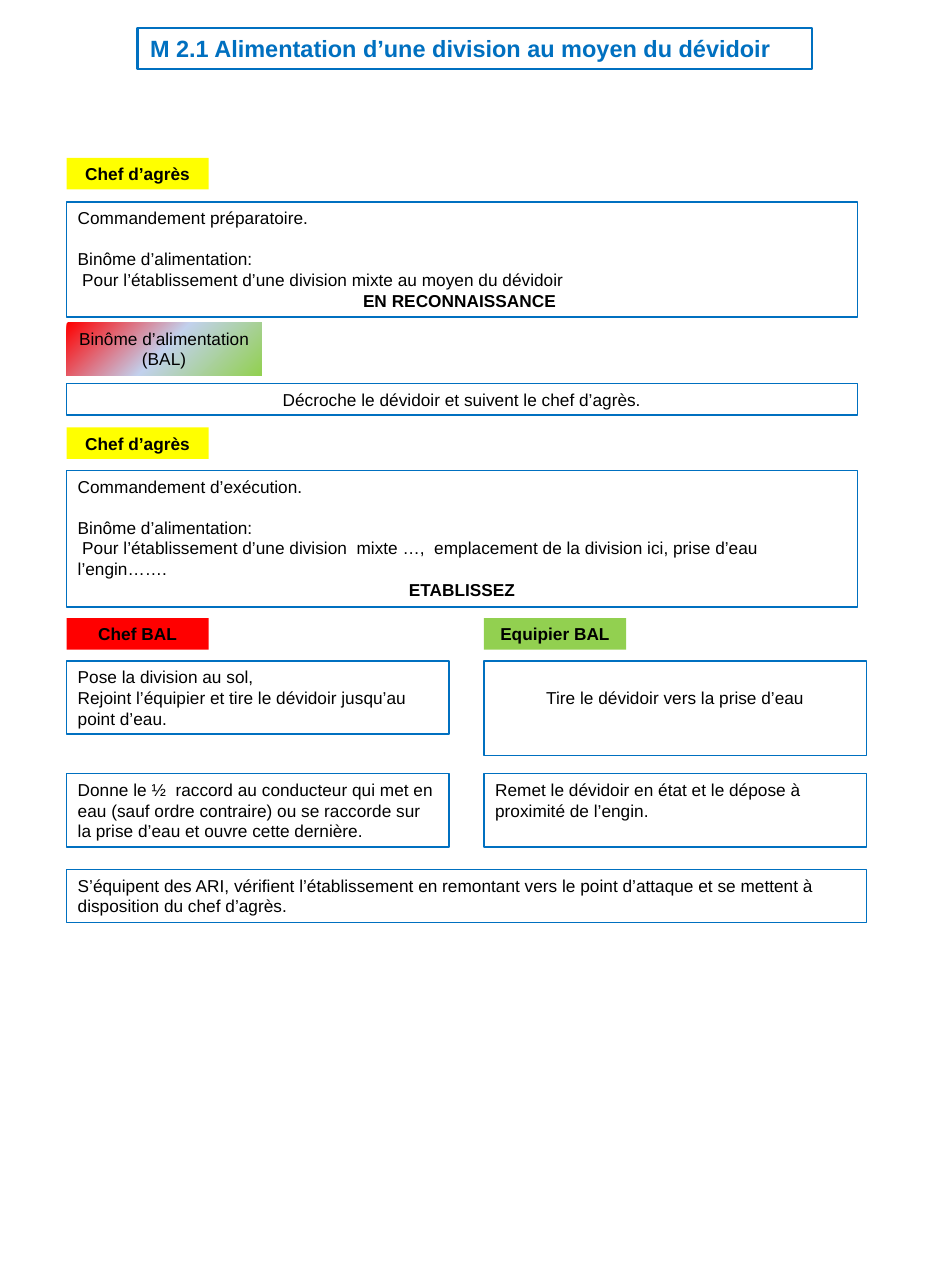
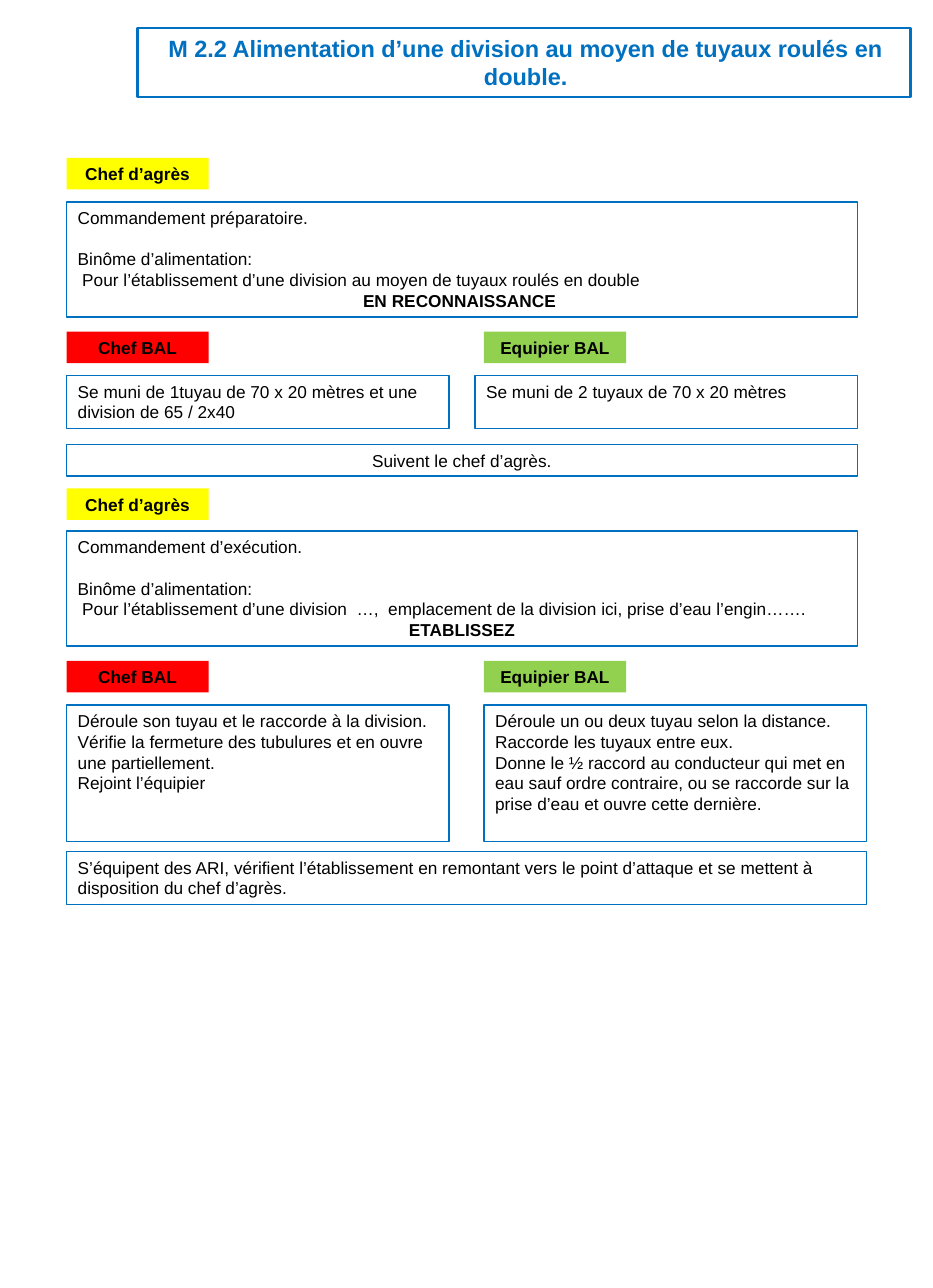
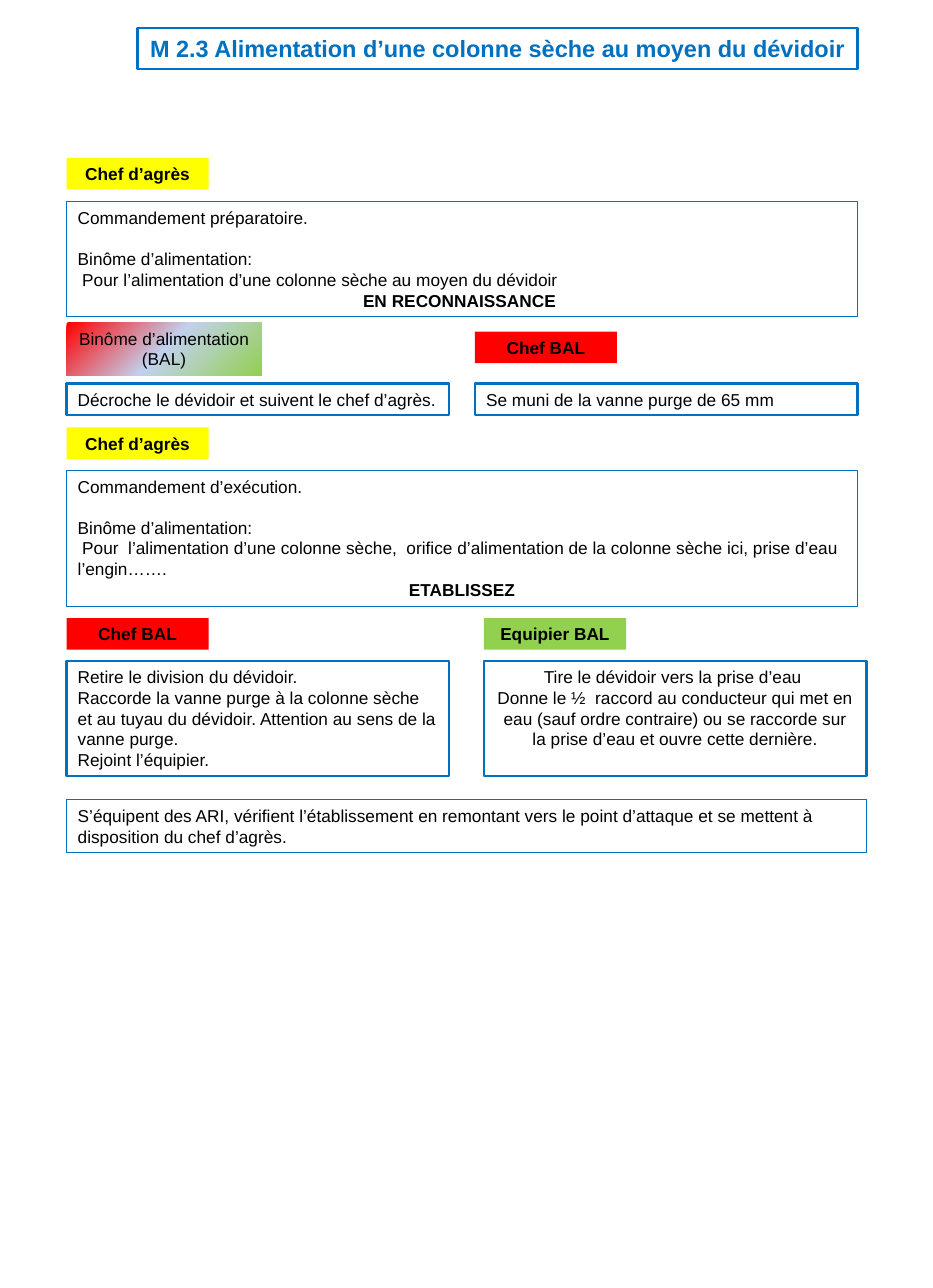
from dataclasses import dataclass, field
from typing import Union

import pptx
import pptx.dml.color
import pptx.enum.text
import pptx.oxml
import pptx.oxml.ns
import pptx.util

Inches = pptx.util.Inches
ALIGN = pptx.enum.text.PP_ALIGN

# Shared style
FONT = "Arial"
BLUE, BLACK = "0070C0", "000000"
YELLOW, RED, GREEN, PALE_BLUE = "FFFF00", "FF0000", "92D050", "C2D1ED"
TITLE_SIZE, BODY_SIZE = 15, 11
LINE_GAP = 13  # points left free above the "Binôme" line

# Shared grid, in inches
LEFT = 0.59
RIGHT = 4.29
RIGHT_INNER = 4.21
HALF_WIDTH = 3.39
COMMAND_WIDTH = 7.01
FULL_WIDTH = RIGHT + HALF_WIDTH - LEFT
ONE_LINE, TWO_LINES = 0.28, 0.47
INSET_X, INSET_Y = 0.1, 0.05
TITLE_INSET_LEFT, TITLE_INSET_RIGHT = 0.11, 0.08


@dataclass(frozen=True)
class Line:
    text: str
    bold: bool = False
    centred: bool = False
    space_before: float = 0
    indent: float = 0


@dataclass(frozen=True)
class Role:
    text: str
    fills: tuple[str, ...]
    width: float = 1.26
    height: float = ONE_LINE
    bold: bool = True


@dataclass(frozen=True)
class Label:
    role: Role
    left: float
    top: float


@dataclass(frozen=True)
class Box:
    left: float
    top: float
    width: float
    height: float
    lines: tuple[Line, ...]
    border: float = 1
    inset_top: float = INSET_Y


@dataclass(frozen=True)
class Sheet:
    title: str
    title_width: float
    items: list[Union[Label, Box]] = field(default_factory=list)
    title_height: float = 0.36
    title_centred: bool = False


OFFICER = Role("Chef d’agrès", (YELLOW,))
LEADER = Role("Chef BAL", (RED,))
MEMBER = Role("Equipier BAL", (GREEN,))
PAIR = Role("Binôme d’alimentation (BAL)", (RED, PALE_BLUE, GREEN), 1.73, TWO_LINES, False)


def colour(value: str) -> pptx.dml.color.RGBColor:
    return pptx.dml.color.RGBColor.from_string(value)


def text_lines(*texts: str, centred: bool = False) -> tuple[Line, ...]:
    return tuple(Line(text, centred=centred) for text in texts)


def command(top: float, height: float, kind: str, order: str, cue: str, border: float = 1) -> Box:
    """A spoken command: its kind, who is called, the order and the closing cue."""
    return Box(LEFT, top, COMMAND_WIDTH, height, (
        Line(f"Commandement {kind}."),
        Line("Binôme d’alimentation:", space_before=LINE_GAP),
        Line(order, indent=0.04),
        Line(cue, bold=True, centred=True),
    ), border)


def preparation(order: str, border: float = 1) -> Box:
    return command(1.79, 1.02, "préparatoire", order, "EN RECONNAISSANCE ", border)


def execution(top: float, height: float, order: str, border: float = 1) -> Box:
    return command(top, height, "d’exécution", order, "ETABLISSEZ", border)


def closing(top: float, border: float = 1) -> Box:
    return Box(LEFT, top, FULL_WIDTH, TWO_LINES, text_lines(
        "S’équipent des ARI, vérifient l’établissement en remontant vers le point d’attaque "
        "et se mettent à disposition du chef d’agrès."), border)


def both_labels(top: float) -> list[Label]:
    return [Label(LEADER, LEFT, top), Label(MEMBER, RIGHT, top)]


def place(shape, left: float, top: float, width: float, height: float) -> None:
    shape.left, shape.top = Inches(left), Inches(top)
    shape.width, shape.height = Inches(width), Inches(height)


def set_border(shape, points: float) -> None:
    shape.line.color.rgb = colour(BLUE)
    shape.line.width = pptx.util.Pt(points)


def set_gradient(shape, colours: tuple[str, ...]) -> None:
    """Evenly spaced stops running from the top left to the bottom right."""
    step = 100000 // (len(colours) - 1)
    stops = "".join(
        f'<a:gs pos="{index * step}"><a:srgbClr val="{value}"/></a:gs>'
        for index, value in enumerate(colours))
    gradient = pptx.oxml.parse_xml(
        f'<a:gradFill {pptx.oxml.ns.nsdecls("a")} rotWithShape="1"><a:gsLst>{stops}</a:gsLst>'
        '<a:lin ang="2700000" scaled="0"/></a:gradFill>')
    shape.fill.background()
    no_fill = shape.fill._xPr.find(pptx.oxml.ns.qn("a:noFill"))
    no_fill.getparent().replace(no_fill, gradient)


def write_lines(shape, lines: tuple[Line, ...], size: float, text_colour: str,
                inset_left: float = INSET_X, inset_right: float = INSET_X,
                inset_top: float = INSET_Y) -> None:
    frame = shape.text_frame
    frame.word_wrap = True
    frame.auto_size = pptx.enum.text.MSO_AUTO_SIZE.NONE
    frame.vertical_anchor = pptx.enum.text.MSO_ANCHOR.TOP
    frame.margin_left, frame.margin_right = Inches(inset_left), Inches(inset_right)
    frame.margin_top, frame.margin_bottom = Inches(inset_top), Inches(INSET_Y)
    for index, line in enumerate(lines):
        paragraph = frame.add_paragraph() if index else frame.paragraphs[0]
        paragraph.alignment = ALIGN.CENTER if line.centred else ALIGN.LEFT
        if line.space_before:
            paragraph.space_before = pptx.util.Pt(line.space_before)
        if line.indent:
            paragraph._p.get_or_add_pPr().set("indent", str(Inches(line.indent)))
        run = paragraph.add_run()
        run.text = line.text
        run.font.name = FONT
        run.font.size = pptx.util.Pt(size)
        run.font.bold = line.bold
        run.font.color.rgb = colour(text_colour)


def add_text_box(slide, left: float, top: float, width: float, height: float):
    return slide.shapes.add_textbox(Inches(left), Inches(top), Inches(width), Inches(height))


def draw_label(slide, label: Label) -> None:
    role = label.role
    shape = add_text_box(slide, label.left, label.top, role.width, role.height)
    if len(role.fills) > 1:
        set_gradient(shape, role.fills)
    else:
        shape.fill.solid()
        shape.fill.fore_color.rgb = colour(role.fills[0])
    write_lines(shape, (Line(role.text, role.bold, True),), BODY_SIZE, BLACK)


def draw_box(slide, box: Box) -> None:
    shape = add_text_box(slide, box.left, box.top, box.width, box.height)
    set_border(shape, box.border)
    write_lines(shape, box.lines, BODY_SIZE, BLACK, inset_top=box.inset_top)


def draw_sheet(presentation, sheet: Sheet) -> None:
    slide = presentation.slides.add_slide(presentation.slide_layouts[5])
    title = slide.shapes.title
    place(title, 1.22, 0.25, sheet.title_width, sheet.title_height)
    set_border(title, 1.5)
    write_lines(title, (Line(sheet.title, True, sheet.title_centred),), TITLE_SIZE, BLUE,
                TITLE_INSET_LEFT, TITLE_INSET_RIGHT)
    for item in sheet.items:
        if isinstance(item, Label):
            draw_label(slide, item)
        else:
            draw_box(slide, item)


HAND_OVER = ("Donne le ½  raccord au conducteur qui met en eau (sauf ordre contraire) "
             "ou se raccorde sur la prise d’eau et ouvre cette dernière.")
UNHOOK = "Décroche le dévidoir et suivent le chef d’agrès."

SHEETS = [
    # Division fed with the hose reel
    Sheet("M 2.1 Alimentation d’une division au moyen du dévidoir", 5.98, [
        Label(OFFICER, LEFT, 1.4),
        preparation("Pour l’établissement d’une division mixte au moyen du dévidoir"),
        Label(PAIR, LEFT, 2.86),
        Box(LEFT, 3.4, COMMAND_WIDTH, ONE_LINE, text_lines(UNHOOK, centred=True)),
        Label(OFFICER, LEFT, 3.79),
        execution(4.17, 1.21, "Pour l’établissement d’une division  mixte …,  emplacement "
                  "de la division ici, prise d’eau l’engin……."),
        *both_labels(5.48),
        Box(LEFT, 5.86, HALF_WIDTH, 0.65, text_lines(
            "Pose la division au sol,",
            "Rejoint l’équipier et tire le dévidoir jusqu’au point d’eau.")),
        Box(RIGHT, 5.86, HALF_WIDTH, 0.84, text_lines(
            "Tire le dévidoir vers la prise d’eau", centred=True), inset_top=0.23),
        Box(LEFT, 6.86, HALF_WIDTH, 0.65, text_lines(HAND_OVER)),
        Box(RIGHT, 6.86, HALF_WIDTH, 0.65, text_lines(
            "Remet le dévidoir en état et le dépose à proximité de l’engin.")),
        closing(7.71),
    ]),
    # Division fed with double-rolled hoses
    Sheet("M 2.2 Alimentation d’une division au moyen de tuyaux roulés en double.", 6.85, [
        Label(OFFICER, LEFT, 1.4),
        preparation("Pour l’établissement d’une division au moyen de tuyaux roulés en double"),
        *both_labels(2.94),
        Box(LEFT, 3.33, HALF_WIDTH, TWO_LINES, text_lines(
            "Se muni de 1tuyau de 70 x 20 mètres et une division de 65 / 2x40")),
        Box(RIGHT_INNER, 3.33, HALF_WIDTH, TWO_LINES, text_lines(
            "Se muni de 2 tuyaux de 70 x 20 mètres")),
        Box(LEFT, 3.94, COMMAND_WIDTH, ONE_LINE, text_lines(
            "Suivent le chef d’agrès.", centred=True)),
        Label(OFFICER, LEFT, 4.33),
        execution(4.71, 1.02, "Pour l’établissement d’une division  …,  emplacement "
                  "de la division ici, prise d’eau l’engin……."),
        *both_labels(5.86),
        Box(LEFT, 6.25, HALF_WIDTH, 1.21, text_lines(
            "Déroule son tuyau et le raccorde à la division.",
            "Vérifie la fermeture des tubulures et en ouvre une partiellement.",
            "Rejoint l’équipier")),
        Box(RIGHT, 6.25, HALF_WIDTH, 1.21, text_lines(
            "Déroule un ou deux tuyau selon la distance.",
            "Raccorde les tuyaux entre eux.",
            "Donne le ½ raccord au conducteur qui met en eau sauf ordre contraire, "
            "ou se raccorde sur la prise d’eau et ouvre cette dernière.")),
        closing(7.55),
    ], 0.61, True),
    # Dry riser fed with the hose reel
    Sheet("M 2.3 Alimentation d’une colonne sèche au moyen du dévidoir", 6.38, [
        Label(OFFICER, LEFT, 1.4),
        preparation("Pour l’alimentation d’une colonne sèche au moyen du dévidoir", 0.75),
        Label(PAIR, LEFT, 2.86),
        Label(LEADER, RIGHT_INNER, 2.94),
        Box(LEFT, 3.4, HALF_WIDTH, ONE_LINE, text_lines(UNHOOK), 1.5),
        Box(RIGHT_INNER, 3.4, HALF_WIDTH, ONE_LINE, text_lines(
            "Se muni de la vanne purge de 65 mm"), 1.5),
        Label(OFFICER, LEFT, 3.79),
        execution(4.17, 1.21, "Pour  l’alimentation d’une colonne sèche,  orifice "
                  "d’alimentation de la colonne sèche ici, prise d’eau l’engin…….", 0.75),
        *both_labels(5.48),
        Box(LEFT, 5.86, HALF_WIDTH, 1.02, text_lines(
            "Retire le division du dévidoir.",
            "Raccorde la vanne purge à la colonne sèche et au tuyau du dévidoir. "
            "Attention au sens de la vanne purge.",
            "Rejoint l’équipier."), 1.5),
        Box(RIGHT, 5.86, HALF_WIDTH, 1.02, text_lines(
            "Tire le dévidoir vers la prise d’eau ", HAND_OVER, centred=True), 1.5),
        closing(7.09, 0.75),
    ]),
]


def main() -> None:
    presentation = pptx.Presentation()
    presentation.slide_width, presentation.slide_height = Inches(8.27), Inches(11.42)
    for sheet in SHEETS:
        draw_sheet(presentation, sheet)
    presentation.save("out.pptx")


if __name__ == "__main__":
    main()
